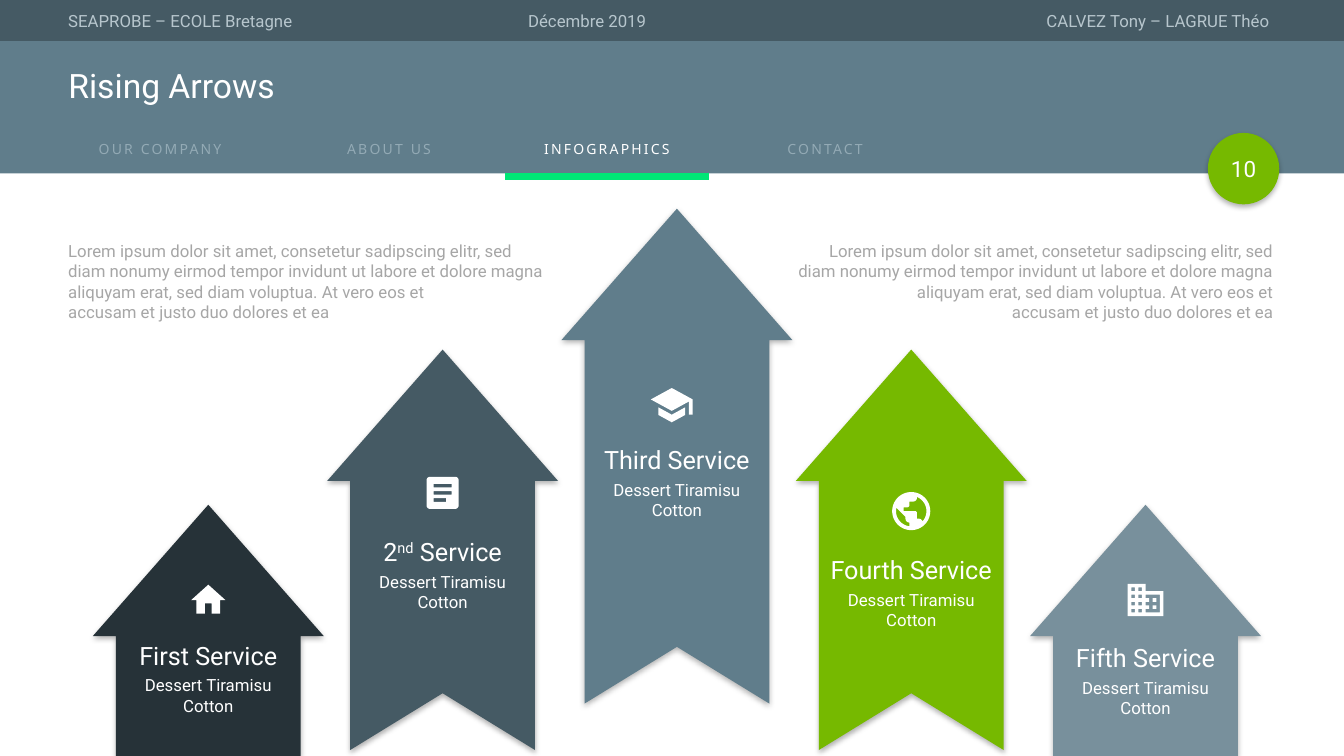
import dataclasses
import math

import lxml.etree
import pptx
import pptx.dml.color
import pptx.enum.shapes
import pptx.enum.text
import pptx.oxml.ns
import pptx.util

Cm = pptx.util.Cm
Pt = pptx.util.Pt
ALIGN = pptx.enum.text.PP_ALIGN
ANCHOR = pptx.enum.text.MSO_ANCHOR
SHAPE = pptx.enum.shapes.MSO_SHAPE


@dataclasses.dataclass(frozen=True)
class Theme:
    """Colours, fonts and type sizes of the slide."""
    white: str = "FFFFFF"
    night: str = "263238"
    slate: str = "455A64"
    steel: str = "607D8B"
    mist: str = "78909C"
    green: str = "76B900"
    accent: str = "00E676"
    header: str = "B7C6CD"
    tab: str = "93AAB5"
    body: str = "A6A6A6"
    font: str = "Roboto"
    tab_font: str = "Noto Sans"
    title: int = 24
    heading: int = 18
    number: int = 16
    text: int = 12
    small: int = 10


T = Theme()
LOREM = ("Lorem ipsum dolor sit amet, consetetur sadipscing elitr, sed diam nonumy eirmod "
         "tempor invidunt ut labore et dolore magna aliquyam erat, sed diam voluptua. "
         "At vero eos et", "accusam et justo duo dolores et ea")


def rgb(value):
    """Turn a hex string into a colour."""
    return pptx.dml.color.RGBColor.from_string(value)


def write(p, text, size=T.text, color=T.white, font=T.font, align=ALIGN.LEFT,
          spacing=0, baseline=0, before=0):
    """Add one formatted run of text to a paragraph."""
    p.alignment = align
    if before:
        p.space_before = Pt(before)
    r = p.add_run()
    r.text = text
    r.font.size, r.font.name = Pt(size), font
    r.font.color.rgb = rgb(color)
    props = r.font._element
    if spacing:
        props.set("spc", str(spacing))
    if baseline:
        props.set("baseline", str(baseline))


def add_box(s, left, top, width, height):
    """Add a wrapping text box and return its text frame."""
    tf = s.shapes.add_textbox(Cm(left), Cm(top), Cm(width), Cm(height)).text_frame
    tf.word_wrap = True
    return tf


def paint(sp, color, shadow=False):
    """Give a shape a plain fill and, if asked, a soft shadow below."""
    sp.fill.solid()
    sp.fill.fore_color.rgb = rgb(color)
    sp.line.fill.background()
    sp.shadow.inherit = False
    if shadow:
        qn = pptx.oxml.ns.qn
        effects = sp._element.spPr.find(qn("a:effectLst"))
        outer = lxml.etree.SubElement(effects, qn("a:outerShdw"), blurRad=str(Pt(4)),
                                      dist=str(Pt(2)), dir="5400000", rotWithShape="0")
        black = lxml.etree.SubElement(outer, qn("a:srgbClr"), val="000000")
        lxml.etree.SubElement(black, qn("a:alpha"), val="30000")
    return sp


def outline(s, contours, left, top, unit=1):
    """Build one freeform from contours measured in units of so many cm."""
    contours = [[(Cm(left + x * unit), Cm(top + y * unit)) for x, y in c] for c in contours]
    builder = s.shapes.build_freeform(*contours[0][0])
    for i, points in enumerate(contours):
        if i:
            builder.move_to(*points[0])
        builder.add_line_segments(points[1:], close=True)
    return builder.convert_to_shape()


def rect(x, y, width=2, height=2):
    """Corners of a rectangle."""
    return [(x, y), (x + width, y), (x + width, y + height), (x, y + height)]


def arc(cx, cy, r, start, end):
    """Points along an arc, with angles in degrees clockwise from the right."""
    steps = max(6, round(abs(end - start) / 6))
    angles = [math.radians(start + (end - start) * i / steps) for i in range(steps + 1)]
    return [(cx + r * math.cos(a), cy + r * math.sin(a)) for a in angles]


HOME = [[(10, 20), (10, 14), (14, 14), (14, 20), (19, 20), (19, 12), (22, 12),
         (12, 3), (2, 12), (5, 12), (5, 20)]]
ARTICLE = [arc(5, 5, 2, 180, 270) + arc(19, 5, 2, 270, 360)
           + arc(19, 19, 2, 0, 90) + arc(5, 19, 2, 90, 180),
           rect(7, 7, 10), rect(7, 11, 10), rect(7, 15, 7)]
SCHOOL = [[(5, 13.18), (5, 17.18), (12, 21), (19, 17.18), (19, 13.18), (12, 17)],
          [(12, 3), (1, 9), (12, 15), (21, 10.09), (21, 17), (23, 17), (23, 9)]]
GLOBE = [arc(12, 12, 10, 0, 360),
         arc(12, 12, 8, 97, 193) + [(9, 15), (9, 16)] + arc(11, 16, 2, 180, 90),
         arc(12, 12, 8, 42, -68) + arc(13, 5, 2, 0, 90) + [(11, 7)]
         + arc(10, 9, 1, 0, 90) + [(8, 10), (8, 12)] + arc(14, 13, 1, 270, 360)
         + [(15, 16)] + arc(16, 18, 2, 270, 342)]
OFFICE = [[(12, 7), (12, 3), (2, 3), (2, 21), (22, 21), (22, 7)],
          *[rect(x, y) for x in (4, 8) for y in (5, 9, 13, 17)],
          [(20, 19), (12, 19), (12, 17), (14, 17), (14, 15), (12, 15), (12, 13),
           (14, 13), (14, 11), (12, 11), (12, 9), (20, 9)],
          rect(16, 11), rect(16, 15)]


def header(s, left, top, width):
    """Draw the two bars, the credits, the title, the tabs and the page number."""
    for y, height, color in ((0, 1.04, T.slate), (1.04, 3.33, T.steel)):
        paint(s.shapes.add_shape(SHAPE.RECTANGLE, Cm(left), Cm(top + y),
                                 Cm(width), Cm(height)), color)
    for x, text, align in ((1.47, "SEAPROBE – ECOLE Bretagne", ALIGN.LEFT),
                           (13.06, "Décembre 2019", ALIGN.LEFT),
                           (18.12, "CALVEZ Tony – LAGRUE Théo", ALIGN.RIGHT)):
        tf = add_box(s, left + x, top + 0.14, 14.12, 0.76)
        write(tf.paragraphs[0], text, color=T.header, align=align)

    title = s.shapes.title
    s.shapes._spTree.append(title._element)
    title.left, title.top = Cm(left + 1.47), Cm(top + 1.6)
    title.width, title.height = Cm(31.19), Cm(1.19)
    tf = title.text_frame
    tf.auto_size = pptx.enum.text.MSO_AUTO_SIZE.NONE
    tf.vertical_anchor = ANCHOR.MIDDLE
    tf.paragraphs[0].line_spacing = 0.9
    write(tf.paragraphs[0], "Rising Arrows", size=T.title)

    active = "INFOGRAPHICS"
    tab_width = 5.13
    for x, text in ((1.47, "OUR COMPANY"), (7.24, "ABOUT US"),
                    (12.73, active), (18.23, "CONTACT")):
        tf = add_box(s, left + x, top + 3.41, tab_width, 0.69)
        write(tf.paragraphs[0], text, size=T.small, font=T.tab_font, spacing=160,
              color=T.white if text == active else T.tab, align=ALIGN.CENTER)
        if text == active:
            y = Cm(top + 4.45)
            line = s.shapes.add_connector(pptx.enum.shapes.MSO_CONNECTOR.STRAIGHT,
                                          Cm(left + x), y, Cm(left + x + tab_width), y)
            line.line.color.rgb, line.line.width = rgb(T.accent), Pt(4.5)
            lxml.etree.SubElement(line._element.spPr, pptx.oxml.ns.qn("a:effectLst"))

    badge = paint(s.shapes.add_shape(SHAPE.OVAL, Cm(left + 30.44), Cm(top + 3.35),
                                     Cm(1.8), Cm(1.8)), T.green, shadow=True)
    tf = badge.text_frame
    tf.margin_left = tf.margin_right = tf.margin_top = tf.margin_bottom = 0
    tf.vertical_anchor = ANCHOR.MIDDLE
    write(tf.paragraphs[0], "10", size=T.number, align=ALIGN.CENTER)


def arrow(s, left, top, width, height, color, notch, name, label_y, icon, icon_y, unit, shift=0):
    """Draw one rising arrow with its icon and label."""
    mid, side, head = width / 2, width / 10, 3.31
    points = [(mid, 0), (width, head), (width - side, head), (width - side, height),
              (mid, height - notch), (side, height), (side, head), (0, head)]
    paint(outline(s, [points], left, top), color, shadow=True)
    paint(outline(s, icon, left + mid + shift - 12 * unit, top + icon_y - 12 * unit, unit),
          T.white)
    label_width = 4.7
    tf = add_box(s, left + mid - label_width / 2, top + label_y, label_width, 2.18)
    for text, baseline in name:
        write(tf.paragraphs[0], text, size=T.heading, align=ALIGN.CENTER, baseline=baseline)
    write(tf.add_paragraph(), "Dessert Tiramisu Cotton", align=ALIGN.CENTER, before=3.6)


def arrows(s, left, top, bottom):
    """Set out the five arrows at an equal pitch."""
    low, middle = top + 7.46, top + 3.55
    second = (("2", 0), ("nd", 30000), (" Service", 0))
    rows = (
        (low, bottom, T.night, 0, (("First Service", 0),), 3.28, HOME, 2.4, 0.043),
        (middle, bottom - 0.15, T.slate, 1.43, second, 4.58, ARTICLE, 3.61, 0.045),
        (top, bottom - 1.32, T.steel, 1.43, (("Third Service", 0),), 5.81, SCHOOL, 4.95,
         0.048, -0.13),
        (middle, bottom - 0.15, T.green, 1.43, (("Fourth Service", 0),), 5.03, GLOBE, 4.07,
         0.048),
        (low, bottom, T.mist, 0, (("Fifth Service", 0),), 3.34, OFFICE, 2.4, 0.045),
    )
    for i, (y, end, *rest) in enumerate(rows):
        arrow(s, left + i * 5.905, y, 5.82, end - y, *rest)


def note(s, left, top, width, height, align):
    """Write the grey text beside the tallest arrow."""
    tf = add_box(s, left, top, width, height)
    for i, text in enumerate(LOREM):
        p = tf.add_paragraph() if i else tf.paragraphs[0]
        write(p, text, color=T.body, align=align)


def main():
    """Build the slide and save it."""
    prs = pptx.Presentation()
    prs.slide_width, prs.slide_height = Cm(33.87), Cm(19.05)
    s = prs.slides.add_slide(prs.slide_layouts[5])
    header(s, 0, 0, 33.87)
    arrows(s, 2.34, 5.26, 19.05)
    note(s, 1.47, 5.95, 12.6, 2.31, ALIGN.LEFT)
    note(s, 19.74, 5.95, 12.6, 2.31, ALIGN.RIGHT)
    prs.save("out.pptx")


main()
